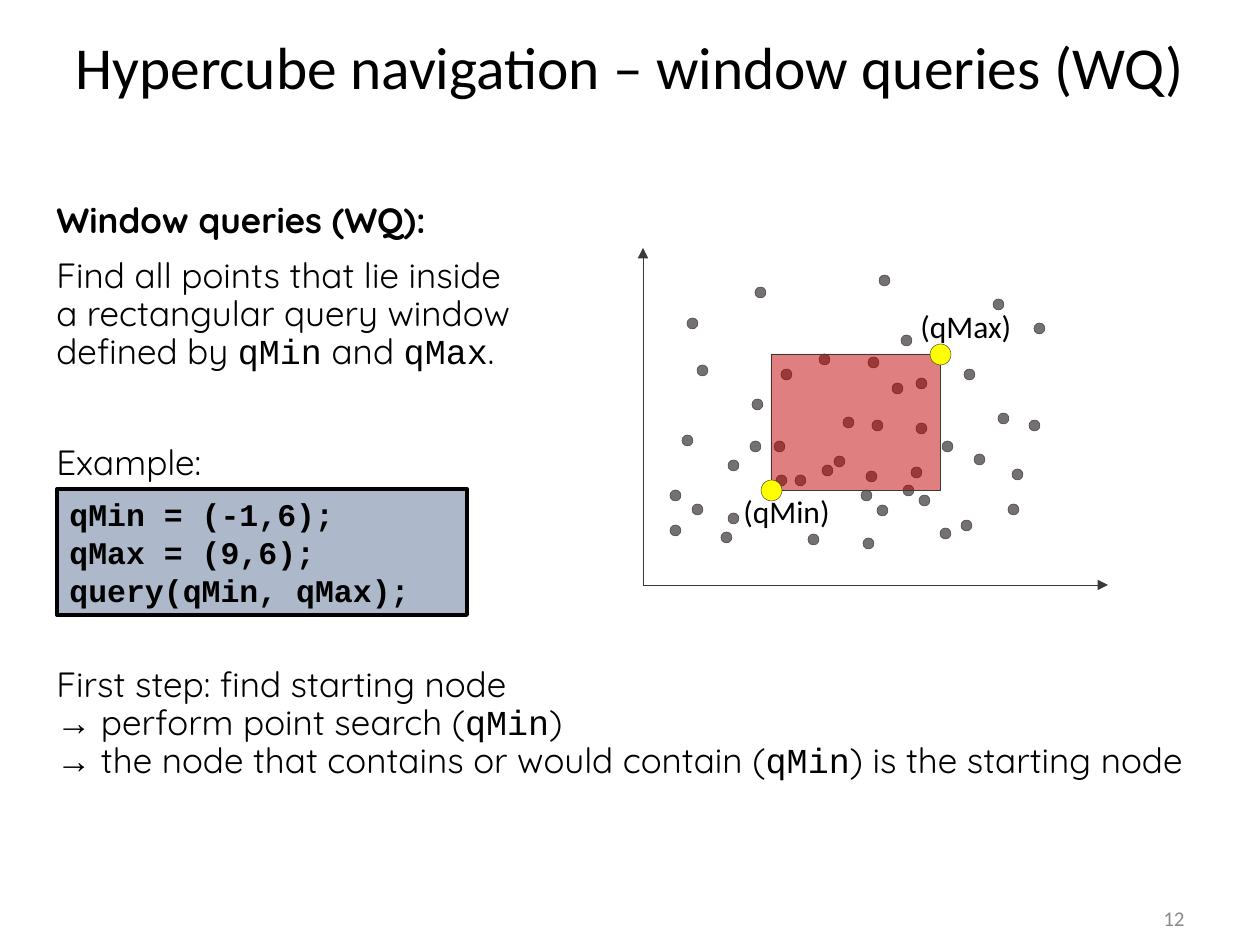
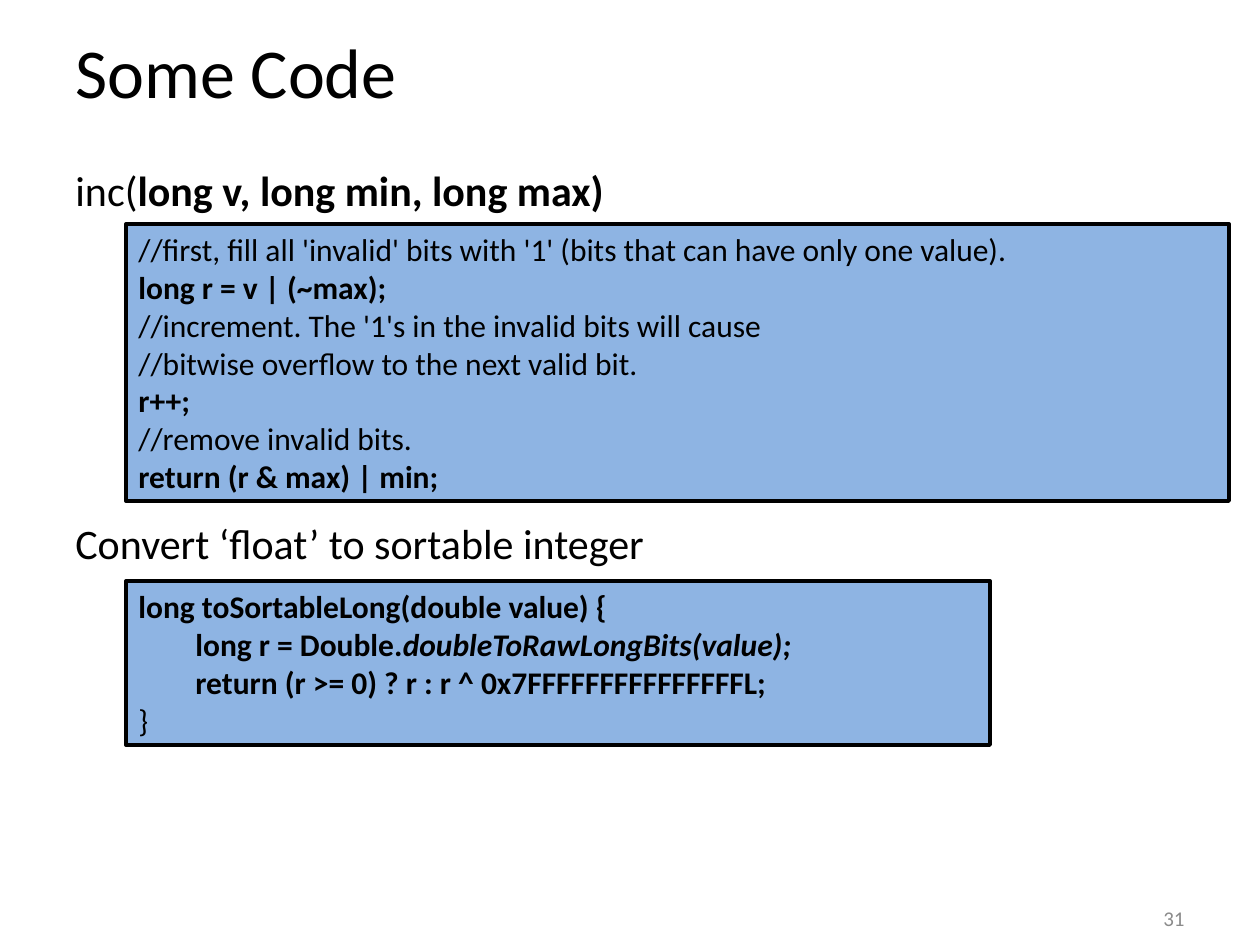
from lxml.etree import SubElement
from pptx import Presentation
from pptx.dml.color import RGBColor
from pptx.enum.shapes import MSO_CONNECTOR, MSO_SHAPE
from pptx.enum.text import MSO_ANCHOR, PP_ALIGN
from pptx.oxml.ns import qn
from pptx.util import Pt

# Shared look
PX_PER_INCH = 126
COLORS = {
    "text": "000000", "number": "8B8B8B", "outline": "3B3838", "dot": "767171",
    "window": "C00000", "corner": "FFFF00", "query": "ADB9CA", "code": "8EB4E3",
}
TITLE_BOX = (63, 10, 1134, 120)
NUMBER_BOX = (903, 907, 294, 23)
STYLES = {
    "plain": {},
    "bold": {"bold": True},
    "italic": {"bold": True, "italic": True},
    "mono": {"font": "Courier New"},
    "monobold": {"font": "Courier New", "bold": True},
    "arrow": {"font": "Arial"},
}

# Window query content: each paragraph is a list of (text, style) pieces
QUERY_TITLE = "Hypercube navigation – window queries (WQ)"
QUERY_TEXTS = [
    (197, [
        [("Window queries (WQ):", "bold")],
        [("Find all points that lie inside\na rectangular query window\ndefined by ", "plain"),
         ("qMin", "mono"), (" and ", "plain"), ("qMax", "mono"), (".", "plain")],
    ]),
    (439, [[("Example:", "plain")]]),
    (661, [[
        ("First step: find starting node\n", "plain"),
        ("→", "arrow"), (" perform point search (", "plain"), ("qMin", "mono"), (")\n", "plain"),
        ("→", "arrow"), (" the node that contains or would contain (", "plain"),
        ("qMin", "mono"), (") is the starting node", "plain"),
    ]]),
]
QUERY_CODE = [[(line, "monobold")] for line in
              ("qMin = (-1,6);", "qMax = (9,6);", "query(qMin, qMax);")]

# Scatter plot: top left corner of every dot
DOT_SIZE, CORNER_SIZE = 11, 21
DOTS = [
    (670, 525), (692, 504), (670, 490), (721, 532), (808, 534), (728, 460),
    (961, 520), (697, 365), (752, 399), (682, 435), (1012, 469), (916, 423),
    (863, 538), (834, 456), (911, 467), (919, 495), (728, 513), (877, 505),
    (892, 383), (861, 490), (940, 528), (879, 275), (822, 465), (916, 378),
    (1008, 504), (942, 441), (750, 441), (776, 475), (774, 441), (903, 485),
    (795, 475), (901, 335), (998, 413), (819, 354), (1029, 420), (843, 417),
    (872, 420), (866, 471), (974, 454), (993, 299), (687, 318), (1034, 323),
    (755, 287), (781, 369), (964, 369), (868, 357),
]
ORIGIN = (643, 585)
AXIS_ENDS = [(1108, 585), (643, 248)]
WINDOW = (771, 354, 169, 136)
LABELS = [("(qMin)", (731, 486, 115, 50)), ("(qMax)", (908, 301, 125, 50))]

# Code slide content: heading top, heading, box, indented lines, code
CODE_TITLE = "Some Code"
CODE_INDENT = 57
CODE_BLOCKS = [
    (158, [("inc(", "plain"), ("long v, long min, long max)", "bold")],
     (126, 224, 1103, 277), (), [
        [("//first, fill all 'invalid' bits with '1' (bits that can have only one value).", "plain")],
        [("long r = v | (~max);", "bold")],
        [("//increment. The '1's in the invalid bits will cause", "plain")],
        [("//bitwise overflow to the next valid bit.", "plain")],
        [("r++;", "bold")],
        [("//remove invalid bits.", "plain")],
        [("return (r & max) | min;", "bold")],
    ]),
    (511, [("Convert ‘float’ to sortable integer", "plain")],
     (126, 581, 864, 164), (1, 2), [
        [("long toSortableLong(double value) {", "bold")],
        [("long r = Double.", "bold"), ("doubleToRawLongBits(value);", "italic")],
        [("return (r >= 0) ? r : r ^ 0x7FFFFFFFFFFFFFFFL;", "bold")],
        [("}", "plain")],
    ]),
]


def px(length):
    return round(length * 914400 / PX_PER_INCH)


def color(name):
    return RGBColor.from_string(COLORS[name])


def write(frame, paragraphs, size, font="Calibri", ink="text", align=PP_ALIGN.LEFT,
          spacing=None, before=0, indented=()):
    """Fill a text frame with paragraphs made of styled pieces."""
    frame.word_wrap = True
    for index, pieces in enumerate(paragraphs):
        paragraph = frame.add_paragraph() if index else frame.paragraphs[0]
        paragraph.alignment = align
        paragraph.space_before = Pt(before if index else 0)
        if spacing:
            paragraph.line_spacing = spacing
        if index in indented:
            paragraph._p.get_or_add_pPr().set("marL", str(px(CODE_INDENT)))
        for text, style_name in pieces:
            style = STYLES[style_name]
            for row, line in enumerate(text.split("\n")):
                if row:
                    paragraph.add_line_break()
                if not line:
                    continue
                run = paragraph.add_run()
                run.text = line
                run.font.name = style.get("font", font)
                run.font.size = Pt(size)
                run.font.bold = style.get("bold", False)
                run.font.italic = style.get("italic", False)
                run.font.color.rgb = color(ink)


def add_text(slide, box, paragraphs, size, anchor=MSO_ANCHOR.TOP, **options):
    frame = slide.shapes.add_textbox(*map(px, box)).text_frame
    frame.vertical_anchor = anchor
    write(frame, paragraphs, size, **options)


def add_block(slide, kind, box, fill, line="outline", weight=0.25):
    shape = slide.shapes.add_shape(kind, *map(px, box))
    shape.shadow.inherit = False
    shape.fill.solid()
    shape.fill.fore_color.rgb = color(fill)
    shape.line.color.rgb = color(line)
    shape.line.width = Pt(weight)
    return shape


def add_code(slide, box, fill, lines, **options):
    shape = add_block(slide, MSO_SHAPE.RECTANGLE, box, fill, "text", 2.25)
    shape.text_frame.vertical_anchor = MSO_ANCHOR.TOP
    write(shape.text_frame, lines, 18, **options)


def add_axis(slide, end):
    axis = slide.shapes.add_connector(MSO_CONNECTOR.STRAIGHT, *map(px, ORIGIN + end))
    axis.line.color.rgb = color("outline")
    axis.line.width = Pt(0.5)
    SubElement(axis.line._get_or_add_ln(), qn("a:tailEnd"), type="triangle")
    SubElement(axis._element.spPr, qn("a:effectLst"))


def add_page(presentation, title, title_size, number, spacing=None):
    slide = presentation.slides.add_slide(presentation.slide_layouts[6])
    add_text(slide, TITLE_BOX, [[(title, "plain")]], title_size, MSO_ANCHOR.MIDDLE, spacing=spacing)
    add_text(slide, NUMBER_BOX, [[(number, "plain")]], 12, MSO_ANCHOR.MIDDLE,
             ink="number", align=PP_ALIGN.RIGHT)
    return slide


def add_plot(slide):
    for left, top in DOTS:
        add_block(slide, MSO_SHAPE.OVAL, (left, top, DOT_SIZE, DOT_SIZE), "dot")
    for end in AXIS_ENDS:
        add_axis(slide, end)

    # Half transparent query window with its labels and two corners
    window = add_block(slide, MSO_SHAPE.RECTANGLE, WINDOW, "window")
    window_color = window._element.spPr.find(qn("a:solidFill"))[0]
    SubElement(window_color, qn("a:alpha"), val="50000")
    for label, box in LABELS:
        add_text(slide, box, [[(label, "plain")]], 18)
    left, top, width, height = WINDOW
    for x, y in ((left, top + height), (left + width, top)):
        corner = (x - CORNER_SIZE // 2, y - CORNER_SIZE // 2, CORNER_SIZE, CORNER_SIZE)
        add_block(slide, MSO_SHAPE.OVAL, corner, "corner")


def build_query_slide(presentation):
    slide = add_page(presentation, QUERY_TITLE, 34, "12", spacing=0.9)
    for top, paragraphs in QUERY_TEXTS:
        add_text(slide, (44, top, 1208, 170), paragraphs, 20, font="Quicksand",
                 spacing=0.9, before=10)
    add_code(slide, (57, 489, 410, 126), "query", QUERY_CODE)
    add_plot(slide)


def build_code_slide(presentation):
    slide = add_page(presentation, CODE_TITLE, 40, "31")
    for top, heading, box, indented, lines in CODE_BLOCKS:
        add_text(slide, (63, top, 1134, 64), [heading], 24)
        add_code(slide, box, "code", lines, indented=indented)


def main():
    presentation = Presentation()
    presentation.slide_width = px(1260)
    presentation.slide_height = px(945)
    build_query_slide(presentation)
    build_code_slide(presentation)
    presentation.save("out.pptx")


if __name__ == "__main__":
    main()
